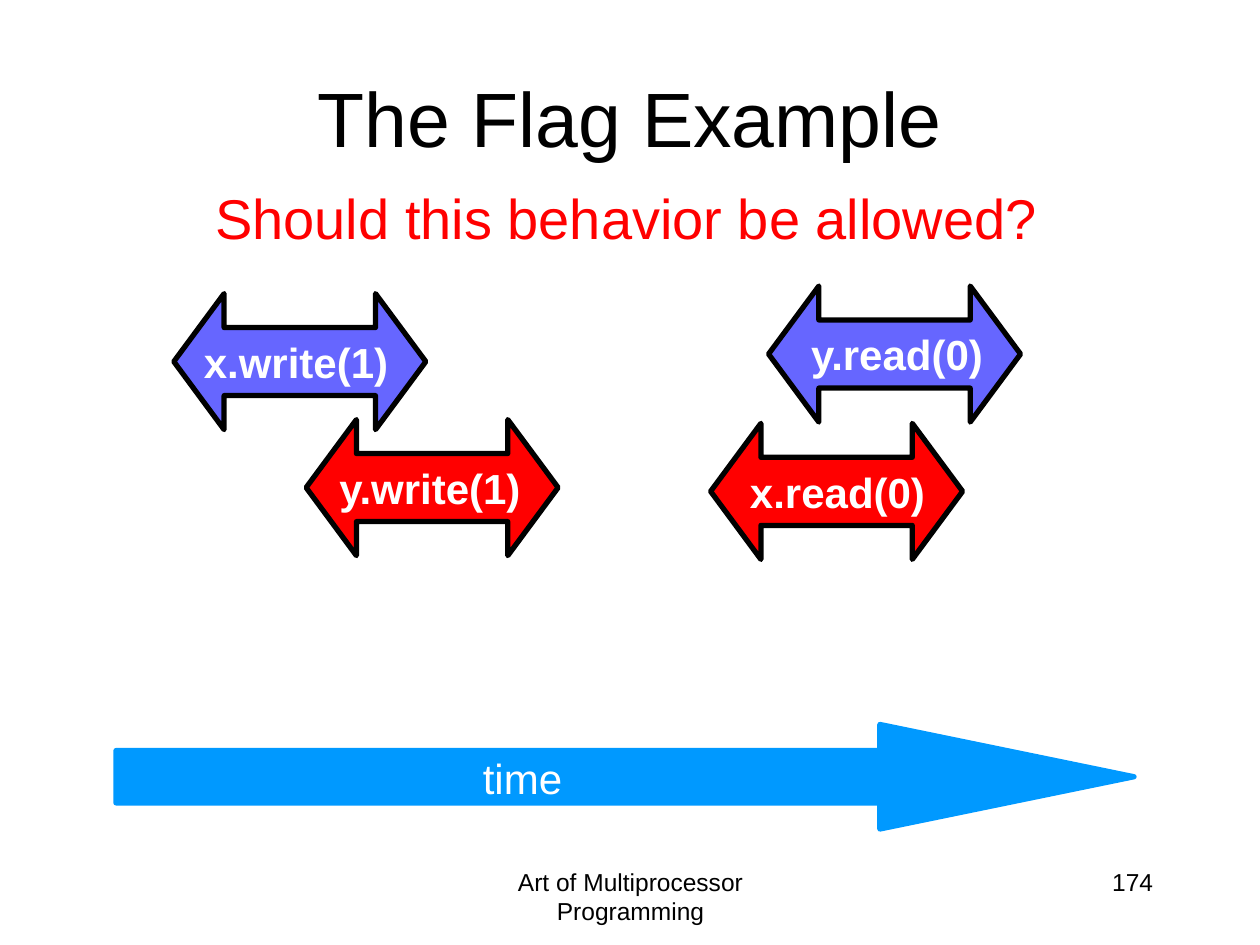
from typing import NamedTuple

from pptx import Presentation
from pptx.dml.color import RGBColor
from pptx.enum.shapes import MSO_SHAPE
from pptx.enum.text import MSO_ANCHOR, PP_ALIGN
from pptx.util import Inches, Pt

BLACK = RGBColor(0x00, 0x00, 0x00)
WHITE = RGBColor(0xFF, 0xFF, 0xFF)
RED = RGBColor(0xFF, 0x00, 0x00)
VIOLET = RGBColor(0x66, 0x66, 0xFF)
BLUE = RGBColor(0x00, 0x99, 0xFF)


class Call(NamedTuple):
    label: str
    left: float
    top: float
    fill: RGBColor


CALLS = [
    Call("x.write(1)", 1.38, 2.33, VIOLET),
    Call("y.read(0)", 6.1, 2.27, VIOLET),
    Call("y.write(1)", 2.43, 3.33, RED),
    Call("x.read(0)", 5.64, 3.36, RED),
]


def set_text(shape, text: str, *, size: float, color: RGBColor = BLACK,
             bold: bool = False, align=PP_ALIGN.LEFT,
             anchor=MSO_ANCHOR.TOP, wrap: bool = True) -> None:
    tf = shape.text_frame
    tf.word_wrap = wrap
    tf.vertical_anchor = anchor
    p = tf.paragraphs[0]
    p.alignment = align
    r = p.add_run()
    r.text = text
    r.font.name = "Arial"
    r.font.size = Pt(size)
    r.font.bold = bold
    r.font.color.rgb = color


def add_text(shapes, text: str, left: float, top: float,
             width: float, height: float, **text_format) -> None:
    box = shapes.add_textbox(Inches(left), Inches(top), Inches(width), Inches(height))
    set_text(box, text, **text_format)


def add_arrow(shapes, kind, left: float, top: float, width: float, height: float,
              head: float, fill: RGBColor, line: RGBColor):
    """Add a block arrow; head is the head length relative to the height."""
    arrow = shapes.add_shape(kind, Inches(left), Inches(top), Inches(width), Inches(height))
    arrow.adjustments[0] = 0.5
    arrow.adjustments[1] = head
    arrow.shadow.inherit = False
    arrow.fill.solid()
    arrow.fill.fore_color.rgb = fill
    arrow.line.color.rgb = line
    arrow.line.width = Pt(3)
    return arrow


def add_call(shapes, call: Call) -> None:
    arrow = add_arrow(shapes, MSO_SHAPE.LEFT_RIGHT_ARROW, call.left, call.top,
                      2, 1.08, 0.37, call.fill, BLACK)
    set_text(arrow, call.label, size=24, color=WHITE, bold=True,
             align=PP_ALIGN.RIGHT, anchor=MSO_ANCHOR.MIDDLE, wrap=False)


def main() -> None:
    prs = Presentation()
    prs.slide_width, prs.slide_height = Inches(10), Inches(7.5)
    s = prs.slides.add_slide(prs.slide_layouts[5])

    add_text(s.shapes, "Art of Multiprocessor Programming", 3.42, 6.83, 3.17, 0.5,
             size=14, align=PP_ALIGN.CENTER)
    add_text(s.shapes, "174", 7.17, 6.83, 2.08, 0.5, size=14, align=PP_ALIGN.RIGHT)

    title = s.shapes.title
    title.left, title.top = Inches(0.5), Inches(0.3)
    title.width, title.height = Inches(9), Inches(1.25)
    set_text(title, "The Flag Example", size=44, align=PP_ALIGN.CENTER,
             anchor=MSO_ANCHOR.MIDDLE)

    for call in CALLS:
        add_call(s.shapes, call)

    timeline = s.shapes.add_group_shape()
    add_arrow(timeline.shapes, MSO_SHAPE.RIGHT_ARROW, 0.92, 5.75, 8.08, 0.83,
              2.43, BLUE, BLUE)
    add_text(timeline.shapes, "time", 3.72, 5.92, 0.84, 0.51,
             size=24, color=WHITE, align=PP_ALIGN.RIGHT, wrap=False)

    add_text(s.shapes, "Should this behavior be allowed?", 1.61, 1.41, 6.78, 0.64,
             size=32, color=RED, wrap=False)
    prs.save("out.pptx")


if __name__ == "__main__":
    main()
